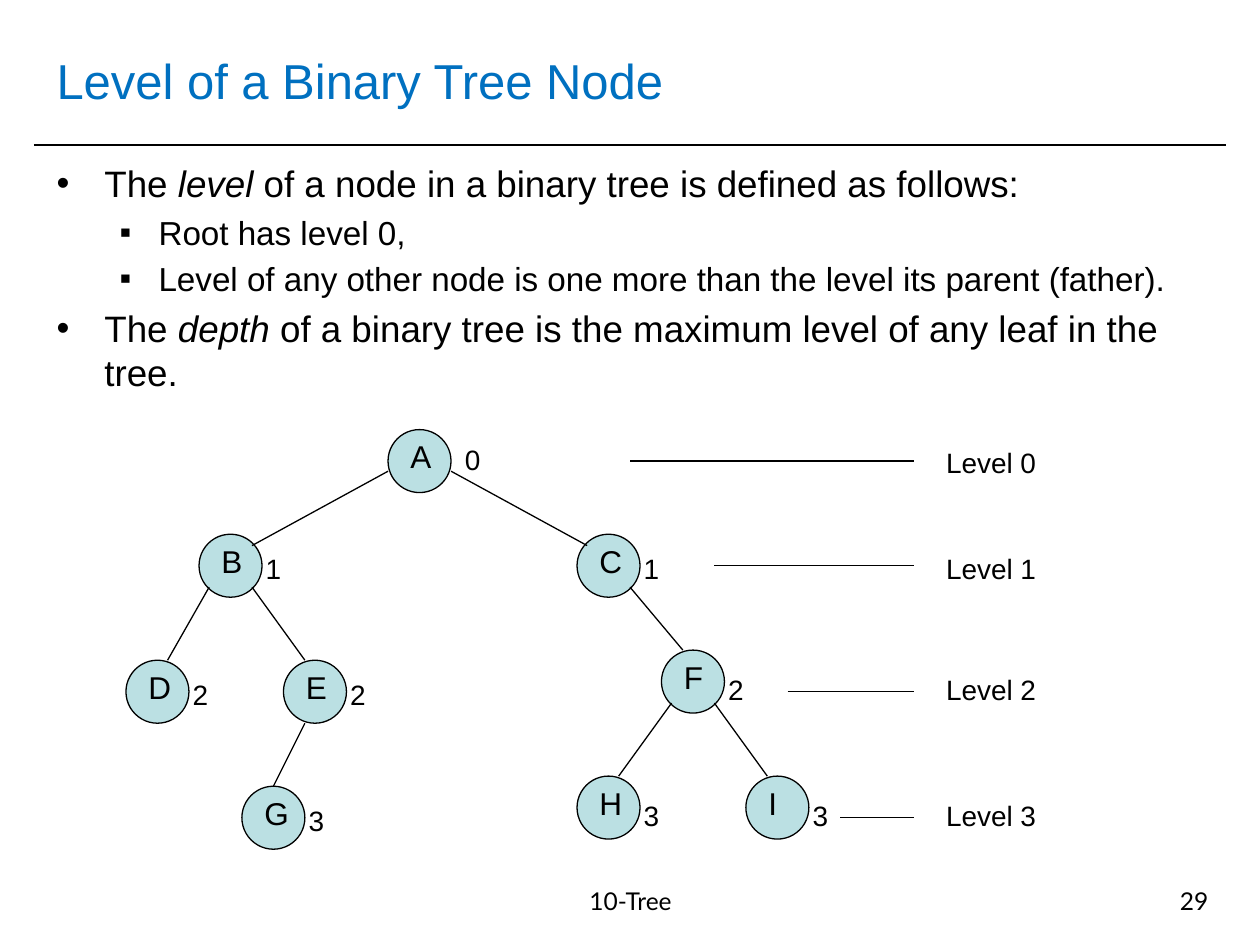
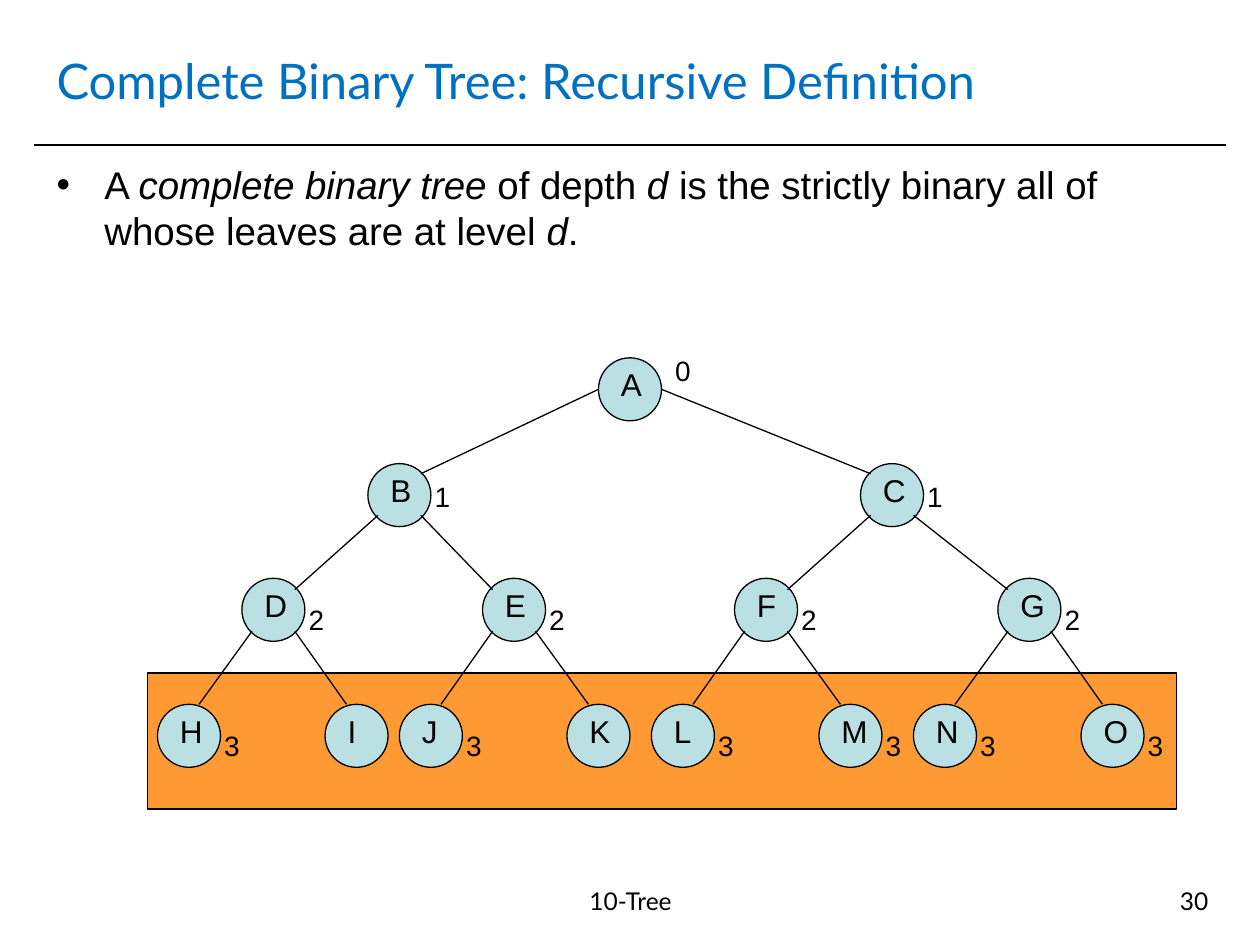
"""Build two slides on binary tree levels and complete binary trees."""
from dataclasses import dataclass
from lxml import etree
from pptx import Presentation
from pptx import util as u
from pptx.dml.color import RGBColor
from pptx.enum import shapes, text
from pptx.oxml import ns


@dataclass(frozen=True)
class Theme:
    ink: str = "000000"
    blue: str = "0070C0"
    node: str = "BBE0E3"
    band: str = "FF9933"
    sans: str = "Arial"
    alt: str = "Lato"
    head: int = 28
    foot: int = 14
    name: int = 18
    tag: int = 16
    thin: float = 0.75
    rule: float = 1
    size: float = 0.5


T = Theme()
FOOT = "10-Tree"
MARKS = [("•", 0.38, 0.38), ("▪", 0.81, 0.31)]

# Nodes: name, parent, left, top, drop of the level tag (None for no tag).
# Joints: by level, where a left edge leaves the parent and meets the child.
SLIDES = [
    {
        "title": "Level of a Binary Tree Node",
        "face": T.sans,
        "page": "29",
        "body": [
            (0, 21, "The *level* of a node in a binary tree is defined as follows:"),
            (1, 19, "Root has level 0,"),
            (1, 19, "Level of any other node is one more than the level its parent (father)."),
            (0, 21, "The *depth *of a binary tree is the maximum level of any leaf in the tree."),
        ],
        "nodes": [
            ("A", "", 3.08, 3.41, 0.05),
            ("B", "A", 1.58, 4.24, 0.09),
            ("C", "A", 4.58, 4.24, 0.09),
            ("D", "B", 1.0, 5.24, 0.09),
            ("E", "B", 2.25, 5.24, 0.09),
            ("F", "C", 5.25, 5.16, 0.13),
            ("G", "E", 1.92, 6.24, 0.09),
            ("H", "F", 4.58, 6.16, 0.13),
            ("I", "F", 5.92, 6.16, 0.13),
        ],
        "wide": "DGI",
        "joints": {
            1: ((0, 0.33), (0.42, 0.09)),
            2: ((0.08, 0.42), (0.33, 0)),
            3: ((0.08, 0.42), (0.33, 0)),
            "G": ((0.17, 0.5), (0.25, 0)),
        },
        "guides": [(5, 3.66, 3.49), (5.67, 4.49, 4.33), (6.25, 5.49, 5.29), (6.67, 6.49, 6.29)],
    },
    {
        "title": "Complete Binary Tree: Recursive Definition",
        "face": T.alt,
        "page": "30",
        "body": [
            (0, 22, "A *complete binary tree* of depth *d* is the strictly binary "
                    "all of whose leaves are at level *d*."),
        ],
        "band": (1.17, 5.34, 8.17, 1.08),
        "nodes": [
            ("A", "", 4.75, 2.84, -0.08),
            ("B", "A", 2.92, 3.68, 0.08),
            ("C", "A", 6.83, 3.68, 0.08),
            ("D", "B", 1.92, 4.59, 0.14),
            ("E", "B", 3.83, 4.59, 0.14),
            ("F", "C", 5.83, 4.59, 0.14),
            ("G", "C", 7.92, 4.59, 0.14),
            ("H", "D", 1.25, 5.59, 0.14),
            ("I", "D", 2.58, 5.59, None),
            ("J", "E", 3.17, 5.59, 0.14),
            ("K", "E", 4.5, 5.59, None),
            ("L", "F", 5.17, 5.59, 0.14),
            ("M", "F", 6.5, 5.59, 0.14),
            ("N", "G", 7.25, 5.59, 0.14),
            ("O", "G", 8.58, 5.59, 0.14),
        ],
        "wide": "GIKMO",
        "joints": {
            1: ((0, 0.25), (0.42, 0.08)),
            2: ((0.08, 0.41), (0.42, 0.09)),
            3: ((0.08, 0.42), (0.33, 0)),
        },
        "guides": [],
    },
]


def put(obj, **vals):
    for key, val in vals.items():
        setattr(obj, key, val)


def tint(hue):
    return RGBColor.from_string(hue)


def span(*nums):
    return [u.Inches(num) for num in nums]


def write(para, line, size, face=T.sans, hue=T.ink):
    for pos, part in enumerate(line.split("*")):
        if part:
            run = para.add_run()
            run.text = part
            put(run.font, size=u.Pt(size), name=face, italic=pos % 2 == 1)
            run.font.color.rgb = tint(hue)


def label(page, box, line, size, face=T.sans, hue=T.ink, side=text.PP_ALIGN.LEFT, **frame):
    area = page.shapes.add_textbox(*span(*box)).text_frame
    put(area, **{"word_wrap": True, **frame})
    area.paragraphs[0].alignment = side
    write(area.paragraphs[0], line, size, face, hue)


def tag(page, left, top, width, line):
    label(page, (left, top, width, 0.37), line, T.tag, word_wrap=False,
          auto_size=text.MSO_AUTO_SIZE.SHAPE_TO_FIT_TEXT)


def stroke(page, start, end, width=T.thin):
    line = page.shapes.add_connector(shapes.MSO_CONNECTOR.STRAIGHT, *span(*start, *end))
    line.line.color.rgb = tint(T.ink)
    line.line.width = u.Pt(width)
    etree.SubElement(line._element.spPr, ns.qn("a:effectLst"))


def block(page, kind, box, hue):
    form = page.shapes.add_shape(kind, *span(*box))
    form.shadow.inherit = False
    form.fill.solid()
    form.fill.fore_color.rgb = tint(hue)
    form.line.color.rgb = tint(T.ink)
    form.line.width = u.Pt(T.thin)


def bullet(para, level):
    mark, left, hang = MARKS[level]
    prop = para._p.get_or_add_pPr()
    prop.set("marL", str(u.Inches(left)))
    prop.set("indent", str(-u.Inches(hang)))
    color = etree.SubElement(prop, ns.qn("a:buClr"))
    etree.SubElement(color, ns.qn("a:srgbClr"), val=T.ink)
    etree.SubElement(prop, ns.qn("a:buFont"), typeface=T.sans)
    etree.SubElement(prop, ns.qn("a:buChar"), char=mark)


def frame(page, data):
    stroke(page, (0.27, 1.15), (9.73, 1.15), T.rule)
    label(page, (0.35, 0.21, 9.29, 0.85), data["title"], T.head, data["face"], T.blue,
          vertical_anchor=text.MSO_ANCHOR.MIDDLE)
    label(page, (3.35, 6.98, 3.31, 0.52), FOOT, T.foot, T.alt, side=text.PP_ALIGN.CENTER)
    label(page, (7.36, 6.98, 2.33, 0.52), data["page"], T.foot, T.alt, side=text.PP_ALIGN.RIGHT)


def points(page, rows):
    area = page.shapes.add_textbox(*span(0.35, 1.23, 9.29, 5.59)).text_frame
    area.word_wrap = True
    for pos, (level, size, line) in enumerate(rows):
        para = area.add_paragraph() if pos else area.paragraphs[0]
        bullet(para, level)
        put(para, level=level, space_before=u.Pt(0.2 * size if pos else 0))
        write(para, line, size)


def edge(page, joint, root, leaf):
    flip = leaf[0] > root[0]
    ends = []
    for (left, top), (dx, dy) in zip((root, leaf), joint):
        ends.append((left + (T.size - dx if flip else dx), top + dy))
    stroke(page, *ends)


def tree(page, data):
    spots, depth = {}, {"": -1}
    for name, root, left, top, drop in data["nodes"]:
        spots[name] = left, top
        depth[name] = depth[root] + 1
        block(page, shapes.MSO_SHAPE.OVAL, (left, top, T.size, T.size), T.node)
        width = 0.42 if name in data["wide"] else 0.33
        label(page, (left + 0.08, top + 0.01, width, 0.4), name, T.name,
              auto_size=text.MSO_AUTO_SIZE.SHAPE_TO_FIT_TEXT)
        if drop is not None:
            tag(page, left + (0.43 if root else 0.51), top + drop, 0.32, str(depth[name]))
    for name, root, *_ in data["nodes"]:
        if root:
            joint = data["joints"].get(name, data["joints"][depth[name]])
            edge(page, joint, spots[root], spots[name])


def main():
    deck = Presentation()
    put(deck, slide_width=u.Inches(10), slide_height=u.Inches(7.5))
    for data in SLIDES:
        page = deck.slides.add_slide(deck.slide_layouts[6])
        frame(page, data)
        points(page, data["body"])
        if "band" in data:
            block(page, shapes.MSO_SHAPE.RECTANGLE, data["band"], T.band)
        tree(page, data)
        for level, (left, mid, top) in enumerate(data["guides"]):
            stroke(page, (left, mid), (7.25, mid))
            tag(page, 7.41, top, 0.92, f"Level {level}")
    deck.save("out.pptx")


if __name__ == "__main__":
    main()
